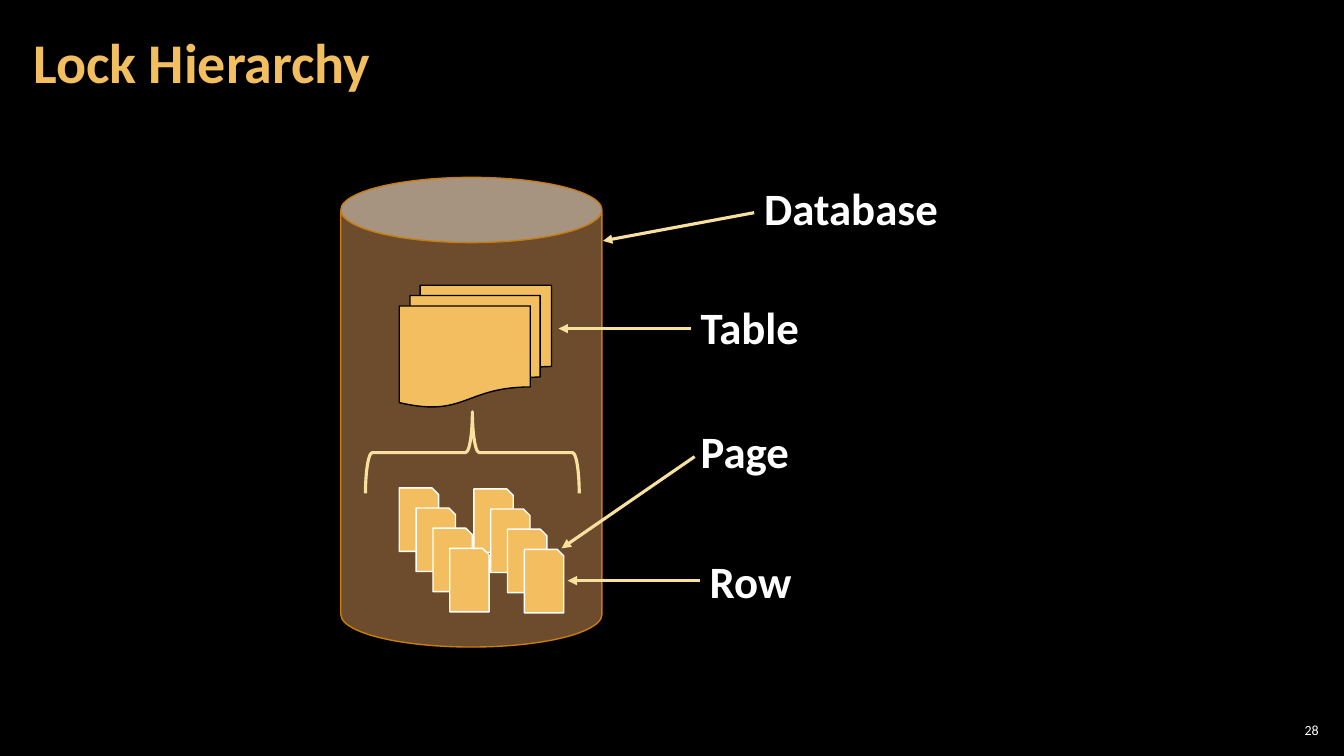
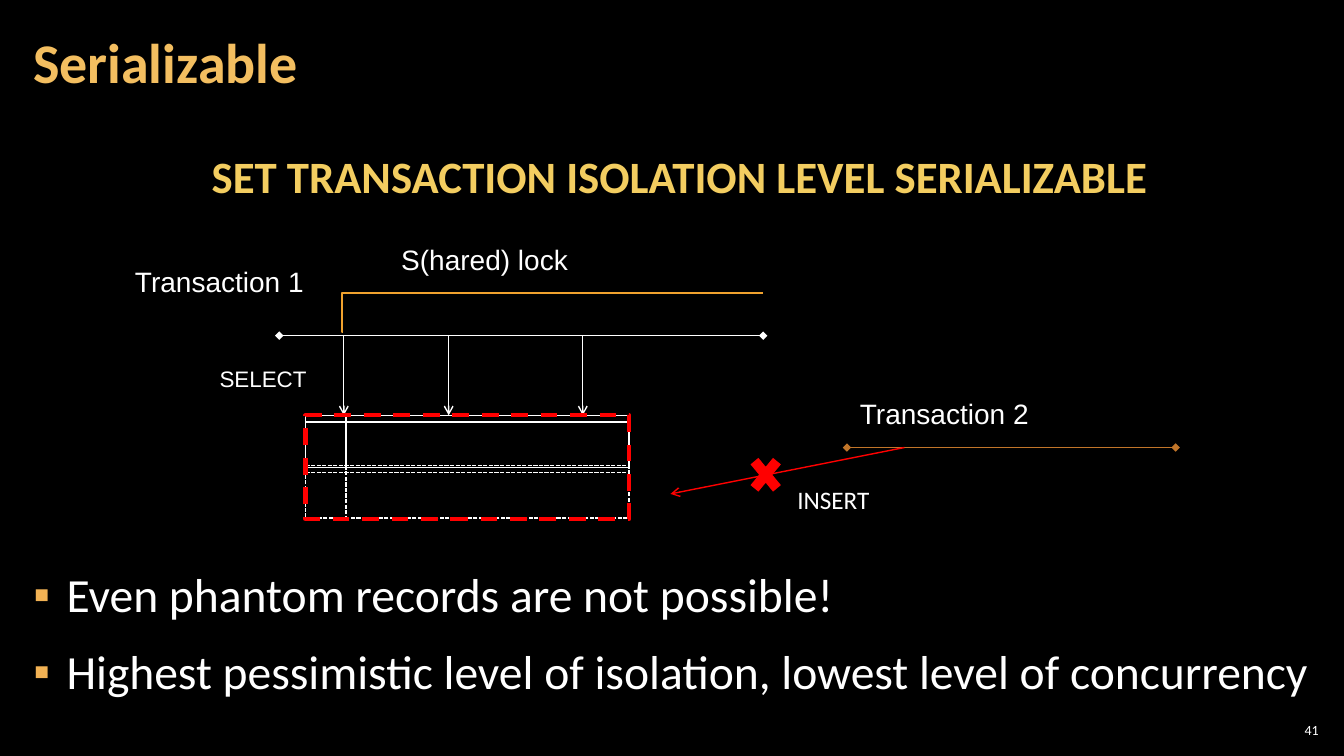
"""Build two slides on database locking: the lock hierarchy and the serializable level."""
from dataclasses import dataclass

from lxml.etree import SubElement
from pptx import Presentation
from pptx.dml.color import RGBColor
from pptx.enum.dml import MSO_LINE
from pptx.enum.shapes import MSO_CONNECTOR, MSO_SHAPE
from pptx.enum.text import MSO_ANCHOR, PP_ALIGN
from pptx.oxml.ns import qn
from pptx.util import Inches, Pt


@dataclass(frozen=True)
class Theme:
    background: str = "000000"
    text: str = "FFFFFF"
    gold: str = "F3BE60"
    statement: str = "F3CD60"
    bullet: str = "F2B254"
    pale: str = "F8E19F"
    can_fill: str = "6C4C2C"
    can_line: str = "C87D0E"
    lock: str = "F0A22E"
    second: str = "C17529"
    alert: str = "FF0000"
    font: str = "Calibri"
    diagram_font: str = "Arial"
    title_size: int = 40
    body_size: int = 34
    heading_size: int = 32
    label_size: int = 20
    insert_size: int = 18
    select_size: int = 16
    number_size: int = 10


THEME = Theme()
TITLE_BOX = (0.21, 0.04, 10.47, 1.21)
NUMBER_BOX = (12.65, 7.14, 0.47, 0.21)
TITLE_INSETS = (0.12, 0.04, 0.12, 0.04)
BODY_INSETS = (0.12, 0.04, 0.04, 0.04)

LEVELS = [
    ("Database", (7.48, 1.74), (7.48, 2.11), (5.98, 2.39)),
    ("Table", (6.85, 2.92), (6.85, 3.26), (5.54, 3.26)),
    ("Page", (6.85, 4.15), (6.89, 4.53), (5.57, 5.44)),
    ("Row", (6.94, 5.44), (6.94, 5.76), (5.63, 5.76)),
]
PAGE_STACKS = [(4.7, 4.85), (3.96, 4.84)]
PAGES_PER_STACK = 4
PAGE_STEP = (0.167, 0.2)
PAGE_SIZE = (0.39, 0.63)

STATEMENT = "SET TRANSACTION ISOLATION LEVEL SERIALIZABLE"
POINTS = [
    "Even phantom records are not possible!",
    "Highest pessimistic level of isolation, lowest level of concurrency",
]
DIAGRAM_LABELS = [
    ("Transaction 1", (1.24, 2.57, 1.97, 0.44), THEME.label_size, THEME.diagram_font),
    ("S(hared) lock", (3.88, 2.36, 2.52, 0.44), THEME.label_size, THEME.diagram_font),
    ("SELECT", (2.08, 3.57, 1.28, 0.37), THEME.select_size, THEME.diagram_font),
    ("INSERT", (7.81, 4.76, 1.14, 0.4), THEME.insert_size, THEME.font),
    ("Transaction 2", (8.43, 3.88, 2.29, 0.44), THEME.label_size, THEME.diagram_font),
]
TIMELINE_Y = 3.33
RECORDS_LEFT, RECORDS_TOP, RECORDS_WIDTH = 3.03, 4.12, 3.21
SELECT_TIMES = [3.41, 4.45, 5.78]


def inches(values):
    return [Inches(value) for value in values]


def color(value):
    return RGBColor.from_string(value)


def add_text(slide, text, box, *, size, font=THEME.font, fill=THEME.text, bold=False,
             align=PP_ALIGN.LEFT, anchor=MSO_ANCHOR.TOP, insets=(0.1, 0.05, 0.1, 0.05),
             line_spacing=None, gap=0, indent=0, bullet=None):
    frame = slide.shapes.add_textbox(*inches(box)).text_frame
    frame.word_wrap = True
    frame.vertical_anchor = anchor
    (frame.margin_left, frame.margin_top,
     frame.margin_right, frame.margin_bottom) = inches(insets)
    for index, line in enumerate([text] if isinstance(text, str) else text):
        paragraph = frame.add_paragraph() if index else frame.paragraphs[0]
        paragraph.alignment = align
        if line_spacing:
            paragraph.line_spacing = line_spacing
        if gap:
            paragraph.space_after = Pt(gap)
            if index:
                paragraph.space_before = Pt(gap)
        properties = paragraph._p.get_or_add_pPr()
        if indent:
            properties.set("marL", str(Inches(indent)))
        if bullet:
            properties.set("indent", str(-Inches(indent)))
            bullet_color = SubElement(properties, qn("a:buClr"))
            SubElement(bullet_color, qn("a:srgbClr"), val=THEME.bullet)
            SubElement(properties, qn("a:buFont"), typeface=THEME.diagram_font)
            SubElement(properties, qn("a:buChar"), char=bullet)
        run = paragraph.add_run()
        run.text = line
        run.font.name = font
        run.font.size = Pt(size)
        run.font.bold = bold
        run.font.color.rgb = color(fill)


def add_shape(slide, kind, box, *, fill=None, line=None, width=1, dash=None, rotation=0):
    shape = slide.shapes.add_shape(kind, *inches(box))
    shape.shadow.inherit = False
    shape.rotation = rotation
    if fill:
        shape.fill.solid()
        shape.fill.fore_color.rgb = color(fill)
    else:
        shape.fill.background()
    if line:
        shape.line.color.rgb = color(line)
        shape.line.width = Pt(width)
        if dash:
            shape.line.dash_style = dash
    else:
        shape.line.fill.background()


def add_line(slide, start, end, *, line=THEME.text, width=1, head=None, tail=None, bend=None):
    kind = MSO_CONNECTOR.STRAIGHT if bend is None else MSO_CONNECTOR.ELBOW
    connector = slide.shapes.add_connector(kind, *inches(start + end))
    connector.line.color.rgb = color(line)
    connector.line.width = Pt(width)
    properties = connector.element.spPr
    outline = properties.find(qn("a:ln"))
    for tag, arrow in (("a:headEnd", head), ("a:tailEnd", tail)):
        if arrow:
            SubElement(outline, qn(tag), type=arrow)
    if bend is not None:
        adjustments = properties.find(qn("a:prstGeom")).find(qn("a:avLst"))
        SubElement(adjustments, qn("a:gd"), name="adj1", fmla=f"val {bend}")
    SubElement(properties, qn("a:effectLst"))


def start_slide(presentation, title, number):
    slide = presentation.slides.add_slide(presentation.slide_layouts[6])
    slide.background.fill.solid()
    slide.background.fill.fore_color.rgb = color(THEME.background)
    add_text(slide, title, TITLE_BOX, size=THEME.title_size, fill=THEME.gold, bold=True,
             anchor=MSO_ANCHOR.MIDDLE, insets=TITLE_INSETS, line_spacing=0.9)
    add_text(slide, str(number), NUMBER_BOX, size=THEME.number_size, align=PP_ALIGN.RIGHT,
             anchor=MSO_ANCHOR.MIDDLE, insets=(0.04,) * 4)
    return slide


def build_hierarchy(presentation):
    slide = start_slide(presentation, "Lock Hierarchy", 28)
    add_shape(slide, MSO_SHAPE.CAN, (3.38, 1.76, 2.59, 4.66),
              fill=THEME.can_fill, line=THEME.can_line)
    add_shape(slide, MSO_SHAPE.FLOWCHART_MULTIDOCUMENT, (3.96, 2.83, 1.51, 1.21),
              fill=THEME.gold, line=THEME.background)
    for left, top in PAGE_STACKS:
        for step in range(PAGES_PER_STACK):
            corner = (left + step * PAGE_STEP[0], top + step * PAGE_STEP[1])
            add_shape(slide, MSO_SHAPE.SNIP_1_RECTANGLE, corner + PAGE_SIZE,
                      fill=THEME.gold, line=THEME.text)
    add_shape(slide, MSO_SHAPE.LEFT_BRACE, (4.28, 3.43, 0.81, 2.12),
              line=THEME.pale, width=2.25, rotation=90)
    for name, corner, start, end in LEVELS:
        add_line(slide, start, end, line=THEME.pale, width=2.25, tail="triangle")
        add_text(slide, name, corner + (2.06, 0.64), size=THEME.heading_size, bold=True)


def build_serializable(presentation):
    slide = start_slide(presentation, "Serializable", 41)
    add_text(slide, POINTS, (0.21, 5.54, 12.91, 1.81), size=THEME.body_size,
             insets=BODY_INSETS, line_spacing=1.05, gap=6, indent=0.33, bullet="▪")
    add_text(slide, STATEMENT, (1.66, 1.43, 10, 0.67), size=THEME.heading_size,
             fill=THEME.statement, bold=True, align=PP_ALIGN.CENTER,
             insets=(0, 0.05, 0, 0.05), indent=0.17)
    for text, box, size, font in DIAGRAM_LABELS:
        add_text(slide, text, box, size=size, font=font)
    add_line(slide, (2.77, TIMELINE_Y), (7.57, TIMELINE_Y), head="diamond", tail="diamond")
    for time in SELECT_TIMES:
        add_line(slide, (time, TIMELINE_Y), (time, RECORDS_TOP), tail="arrow")
    add_line(slide, (3.4, 3.29), (7.57, 2.91), line=THEME.lock, width=1.5, bend=-100)
    for top, dash in ((RECORDS_TOP, None), (RECORDS_TOP + 0.5, MSO_LINE.SQUARE_DOT)):
        add_shape(slide, MSO_SHAPE.FLOWCHART_INTERNAL_STORAGE,
                  (RECORDS_LEFT, top, RECORDS_WIDTH, 0.52), line=THEME.text, dash=dash)
    add_line(slide, (8.4, 4.44), (11.66, 4.44), line=THEME.second, width=1.25,
             head="diamond", tail="diamond")
    add_line(slide, (8.97, 4.44), (6.65, 4.9), line=THEME.alert, tail="arrow")
    add_shape(slide, MSO_SHAPE.MATH_MULTIPLY, (7.38, 4.45, 0.43, 0.52), fill=THEME.alert)
    add_shape(slide, MSO_SHAPE.RECTANGLE, (RECORDS_LEFT, RECORDS_TOP, RECORDS_WIDTH, 1.03),
              line=THEME.alert, width=3, dash=MSO_LINE.DASH)


def main():
    presentation = Presentation()
    presentation.slide_width, presentation.slide_height = inches((13.33, 7.5))
    build_hierarchy(presentation)
    build_serializable(presentation)
    presentation.save("out.pptx")


if __name__ == "__main__":
    main()
